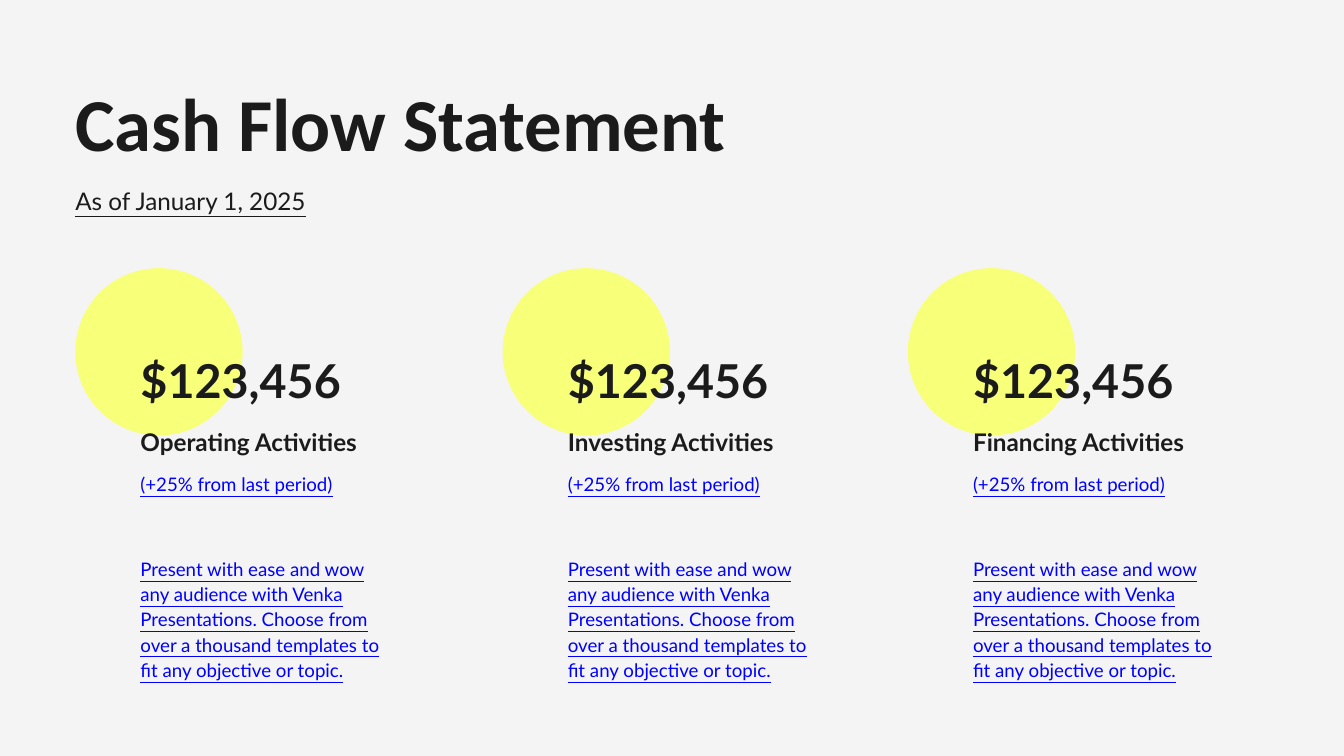
from collections import namedtuple

from pptx import Presentation
from pptx.dml.color import RGBColor
from pptx.enum.shapes import MSO_SHAPE
from pptx.enum.text import MSO_AUTO_SIZE
from pptx.util import Inches, Pt

COLUMNS, ROWS = 20, 11.25
CELL = Inches(1)
MARGIN = 1.12
Box = namedtuple("Box", "left top width height")

COLORS = {"paper": "F4F4F4", "ink": "1B1B1B", "accent": "F8FF78", "link": "0000FF"}

STYLES = {
    "title": {"font": {"name": "Calibri", "size": Pt(80), "bold": True}, "color": "ink", "leading": 96},
    "date": {"font": {"name": "Lato", "size": Pt(26), "underline": True}, "color": "ink", "leading": 33},
    "amount": {"font": {"name": "Lato", "size": Pt(50), "bold": True}, "color": "ink", "leading": 60},
    "activity": {"font": {"name": "Lato", "size": Pt(26), "bold": True}, "color": "ink", "leading": 33},
    "detail": {"font": {"name": "Lato", "size": Pt(20), "underline": True}, "color": "link", "leading": 27},
}

AMOUNT = "$123,456"
CHANGE = "(+25% from last period)"
DESCRIPTION = (
    "Present with ease and wow any audience with Venka Presentations. "
    "Choose from over a thousand templates to fit any objective or topic."
)
ACTIVITIES = {
    "Operating Activities": MARGIN,
    "Investing Activities": 7.48,
    "Financing Activities": 13.51,
}


def to_emu(box):
    """Convert a box in grid cells to slide lengths."""
    return [round(cells * CELL) for cells in box]


def add_text(slide, box, words, style_name):
    """Place one styled paragraph in a box without insets."""
    style = STYLES[style_name]
    frame = slide.shapes.add_textbox(*to_emu(box)).text_frame
    frame_format = {
        "margin_left": 0,
        "margin_top": 0,
        "margin_right": 0,
        "margin_bottom": 0,
        "word_wrap": True,
        "auto_size": MSO_AUTO_SIZE.SHAPE_TO_FIT_TEXT,
    }
    for attribute, value in frame_format.items():
        setattr(frame, attribute, value)
    paragraph = frame.paragraphs[0]
    paragraph.line_spacing = Pt(style["leading"])
    run = paragraph.add_run()
    run.text = words
    for attribute, value in style["font"].items():
        setattr(run.font, attribute, value)
    run.font.color.rgb = RGBColor.from_string(COLORS[style["color"]])


def add_heading(slide, box):
    """Place the statement title and its date."""
    add_text(slide, Box(box.left, box.top, box.width, 1.32), "Cash Flow Statement", "title")
    add_text(slide, Box(box.left, box.top + 1.6, box.width * 0.6, 0.45), "As of January 1, 2025", "date")


def add_activity(slide, box, activity):
    """Place a circle with the figures and description of one activity."""
    diameter = 2.49
    circle = slide.shapes.add_shape(
        MSO_SHAPE.OVAL, *to_emu(Box(box.left, box.top, diameter, diameter))
    )
    circle.shadow.inherit = False
    circle.fill.solid()
    circle.fill.fore_color.rgb = RGBColor.from_string(COLORS["accent"])
    circle.line.fill.background()

    indent = 0.97
    lines = [
        (4.27, 1.86, DESCRIPTION, "detail"),
        (1.25, 0.83, AMOUNT, "amount"),
        (2.34, 0.45, activity, "activity"),
        (3.01, 0.36, CHANGE, "detail"),
    ]
    for drop, height, words, style_name in lines:
        text_box = Box(box.left + indent, box.top + drop, box.width - indent, height)
        add_text(slide, text_box, words, style_name)


def main():
    """Build and save the cash flow slide."""
    presentation = Presentation()
    presentation.slide_width = round(COLUMNS * CELL)
    presentation.slide_height = round(ROWS * CELL)
    slide = presentation.slides.add_slide(presentation.slide_layouts[6])
    slide.background.fill.solid()
    slide.background.fill.fore_color.rgb = RGBColor.from_string(COLORS["paper"])

    for activity, left in ACTIVITIES.items():
        add_activity(slide, Box(left, 3.99, 4.77, 6.13), activity)
    add_heading(slide, Box(MARGIN, 1.14, 15.51, 2.05))
    presentation.save("out.pptx")


if __name__ == "__main__":
    main()
